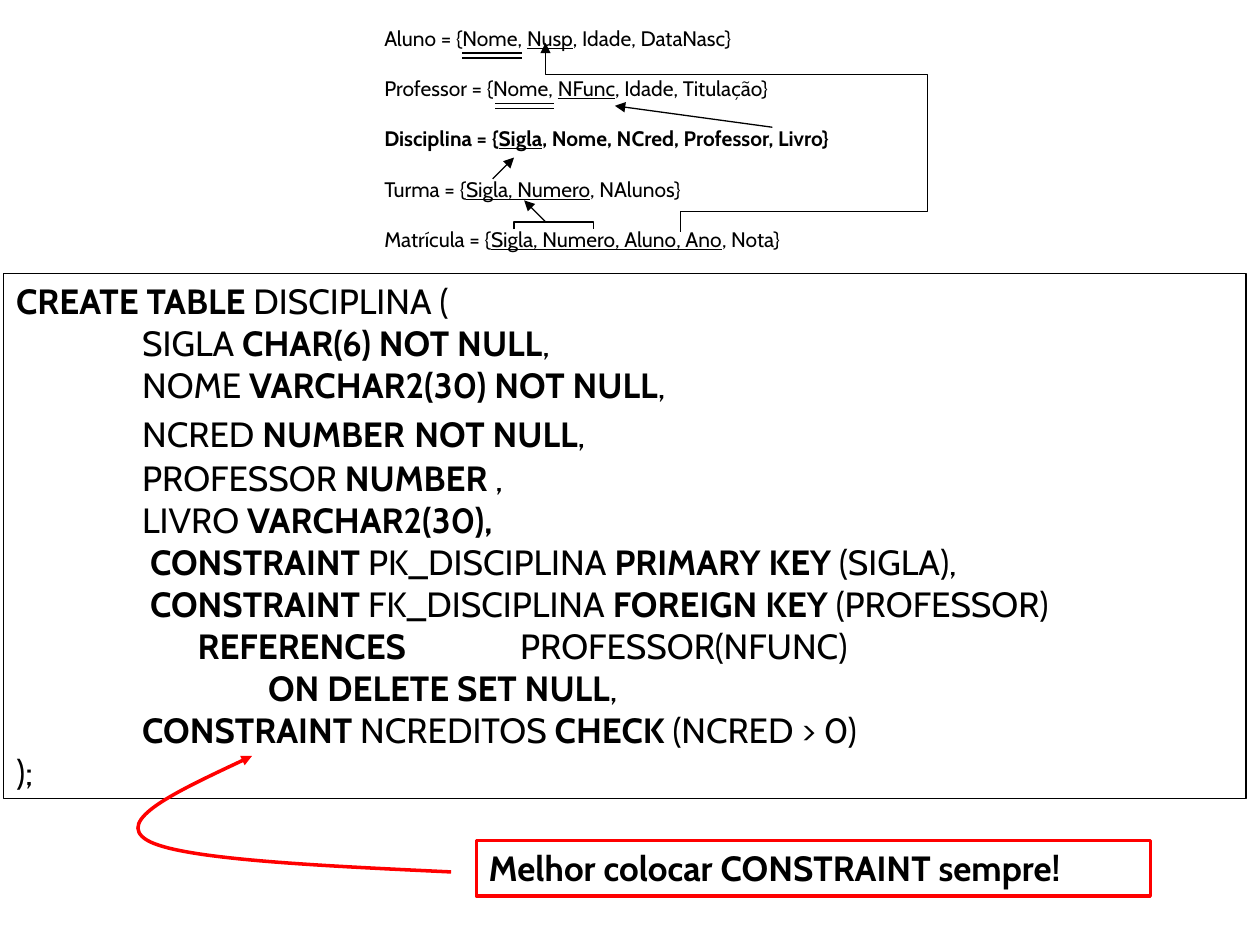
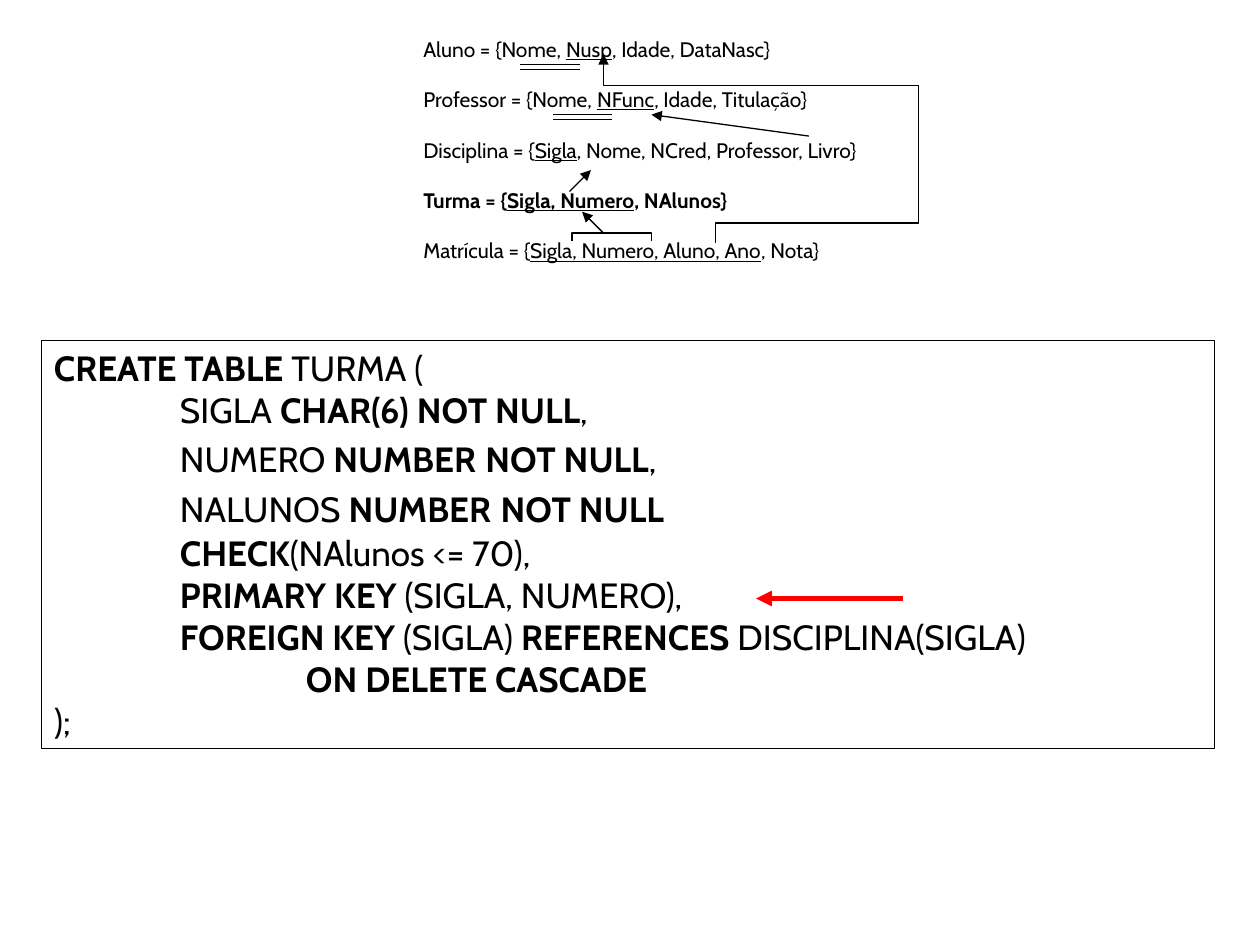
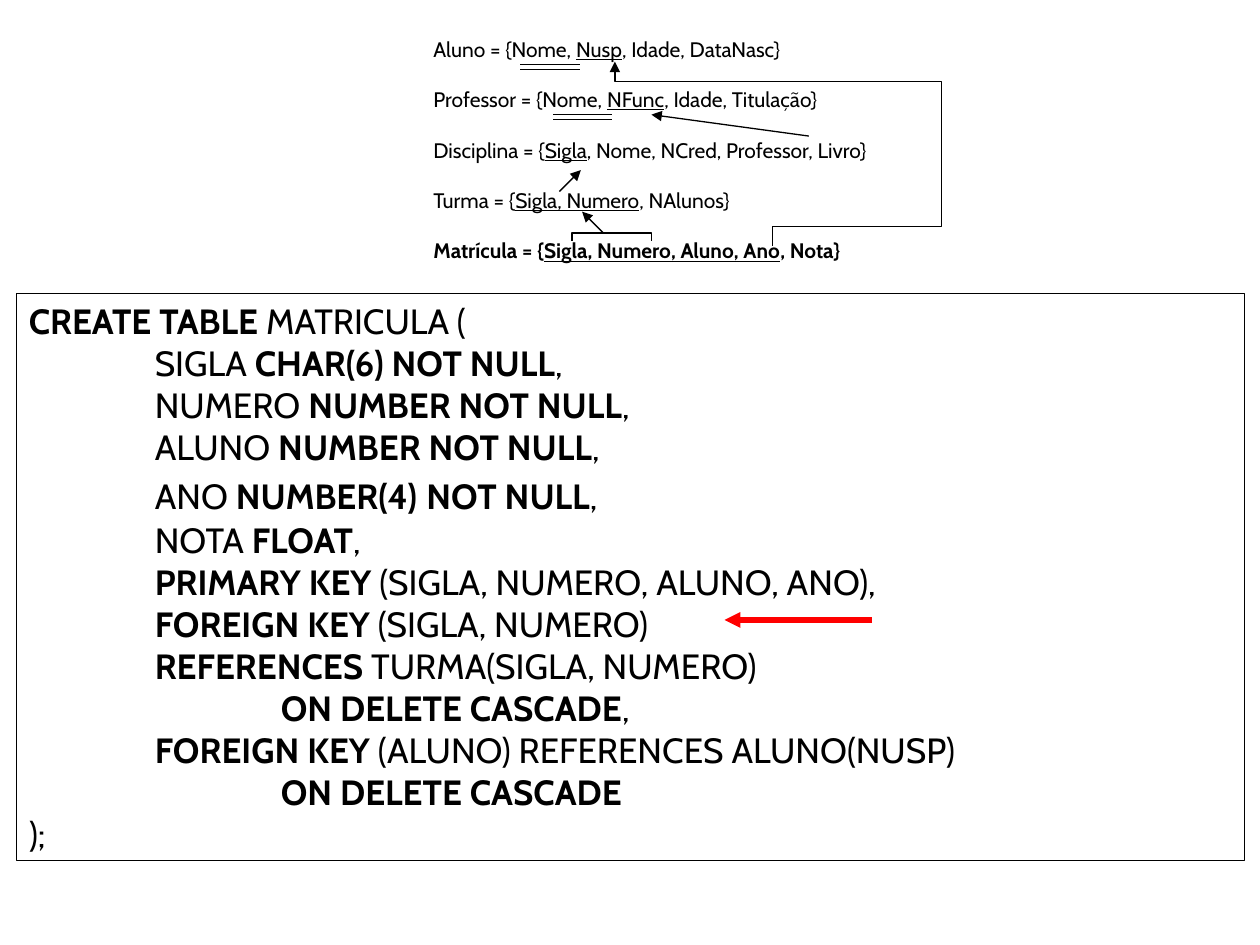
"""Builds three slides that pair a relational schema with its SQL table definitions."""
from dataclasses import dataclass
from typing import Optional

from lxml.etree import SubElement
from pptx import Presentation
from pptx.dml.color import RGBColor
from pptx.enum.shapes import MSO_CONNECTOR as Conn, MSO_SHAPE as Shape
from pptx.enum.text import MSO_ANCHOR as Anchor, PP_ALIGN as Align
from pptx.oxml.ns import qn
from pptx.util import Inches, Pt

Point = tuple[float, float]


@dataclass(frozen=True)
class Theme:
    font: str = "Cabin"
    ink: RGBColor = RGBColor(0, 0, 0)
    accent: RGBColor = RGBColor(255, 0, 0)
    schema_size: float = 12
    schema_gap: float = 14.4
    code_size: float = 20
    wide_space: float = 24
    thin: float = 0.75
    bracket: float = 1
    medium: float = 2
    thick: float = 3


@dataclass(frozen=True)
class Box:
    left: float
    top: float
    width: float
    height: float


@dataclass(frozen=True)
class SchemaView:
    box: Box
    bold_row: int
    marks: Point
    professor_key: Point
    turma_key: Point
    aluno_key: list[Point]


@dataclass(frozen=True)
class TableSlide:
    schema: SchemaView
    box: Box
    code: list[str]
    pointer: Optional[Point] = None
    note: str = ""


T = Theme()
POINTER_LENGTH = 1.17
NOTE_BOX = Box(3.78, 6.67, 5.35, 0.44)
NOTE_CURVE = [(3.58, 6.92), (2.51, 6.87), (1.43, 6.82), (1.17, 6.67),
              (0.9, 6.51), (1.45, 6.26), (2, 6)]

# Underscores toggle underlining in the schema; asterisks toggle bold in the code.
SCHEMA = [
    "Aluno = {Nome, _Nusp_, Idade, DataNasc}",
    "Professor = {Nome, _NFunc_, Idade, Titulação}",
    "Disciplina = {_Sigla_, Nome, NCred, Professor, Livro}",
    "Turma = {_Sigla, Numero_, NAlunos}",
    "Matrícula = {_Sigla, Numero, Aluno, Ano_, Nota}",
]

SLIDES = [
    TableSlide(
        SchemaView(Box(2.91, 0.15, 4.36, 1.9), 2, (3.67, 0.42), (6.13, 1.01), (3.91, 1.42),
                   [(5.4, 1.84), (5.4, 1.68), (7.36, 1.68), (7.36, 0.59), (4.33, 0.59), (4.33, 0.34)]),
        Box(0.03, 2.17, 9.86, 4.17),
        [
            "*CREATE TABLE* DISCIPLINA (",
            "\tSIGLA *CHAR(6) NOT NULL*,",
            "\tNOME *VARCHAR2(30) NOT NULL*,",
            "\tNCRED *NUMBER* *NOT NULL*,",
            "\tPROFESSOR *NUMBER* ,",
            "\tLIVRO *VARCHAR2(30),*",
            "\t *CONSTRAINT* PK_DISCIPLINA *PRIMARY KEY* (SIGLA),",
            "\t *CONSTRAINT* FK_DISCIPLINA *FOREIGN KEY* (PROFESSOR)",
            "                       *REFERENCES \t*PROFESSOR(NFUNC)",
            "\t\t*ON DELETE SET NULL*,",
            "\t*CONSTRAINT* NCREDITOS* CHECK* (NCRED > 0)",
            ");",
        ],
        note="*Melhor colocar CONSTRAINT sempre!*",
    ),
    TableSlide(
        SchemaView(Box(3.22, 0.24, 4.14, 1.9), 3, (4.13, 0.51), (6.42, 1.08), (4.52, 1.52),
                   [(5.68, 1.93), (5.68, 1.77), (7.29, 1.77), (7.29, 0.68), (4.79, 0.68), (4.79, 0.43)]),
        Box(0.33, 2.7, 9.31, 3.24),
        [
            "*CREATE TABLE* TURMA (",
            "\tSIGLA *CHAR(6) NOT NULL*,",
            "\tNUMERO *NUMBER* *NOT NULL*,",
            "\tNALUNOS *NUMBER* *NOT NULL*",
            "\t*CHECK*(NAlunos <= 70),",
            "\t*PRIMARY KEY* (SIGLA, NUMERO),",
            "\t*FOREIGN KEY* (SIGLA) *REFERENCES* DISCIPLINA(SIGLA)",
            "\t\t*ON DELETE CASCADE*",
            ");",
        ],
        pointer=(6, 4.75),
    ),
    TableSlide(
        SchemaView(Box(3.3, 0.24, 4.14, 1.9), 4, (4.13, 0.51), (6.42, 1.08), (4.44, 1.52),
                   [(6.13, 1.95), (6.13, 1.8), (7.47, 1.8), (7.47, 0.65), (4.88, 0.65), (4.88, 0.49)]),
        Box(0.13, 2.33, 9.75, 4.5),
        [
            "*CREATE TABLE* MATRICULA (",
            "\tSIGLA *CHAR(6) NOT NULL*,",
            "\tNUMERO *NUMBER NOT NULL*,",
            "\tALUNO *NUMBER NOT NULL*,",
            "\tANO *NUMBER(4)* *NOT NULL*,",
            "\tNOTA *FLOAT*,",
            "\t*PRIMARY KEY* (SIGLA, NUMERO, ALUNO, ANO),",
            "\t*FOREIGN KEY* (SIGLA, NUMERO)",
            "\t*REFERENCES* TURMA(SIGLA, NUMERO)",
            "\t\t*ON DELETE CASCADE*,",
            "\t*FOREIGN KEY* (ALUNO) REFERENCES ALUNO(NUSP)",
            "\t\t*ON DELETE CASCADE*",
            ");",
        ],
        pointer=(5.75, 4.92),
    ),
]


def place(box: Box) -> list[int]:
    return [Inches(v) for v in (box.left, box.top, box.width, box.height)]


def style_line(sp, width: float, color: RGBColor, arrow: bool) -> None:
    sp.line.color.rgb = color
    sp.line.width = Pt(width)
    if arrow:
        SubElement(next(sp.element.iter(qn("a:ln"))), qn("a:tailEnd"), type="triangle")
    SubElement(sp.element.spPr, qn("a:effectLst"))


def add_line(s, start: Point, end: Point, width: float = T.thin,
             color: RGBColor = T.ink, arrow: bool = False) -> None:
    sp = s.shapes.add_connector(Conn.STRAIGHT, *[Inches(v) for v in (*start, *end)])
    style_line(sp, width, color, arrow)


def add_outline(s, points: list[Point], width: float = T.thin,
                color: RGBColor = T.ink, arrow: bool = False):
    first, *rest = [(Inches(x), Inches(y)) for x, y in points]
    builder = s.shapes.build_freeform(*first)
    builder.add_line_segments(rest, close=False)
    sp = builder.convert_to_shape()
    sp.fill.background()
    style_line(sp, width, color, arrow)
    return sp


def add_curve(s, points: list[Point]) -> None:
    sp = add_outline(s, points, T.medium, T.accent, arrow=True)
    segments = list(sp.element.iter(qn("a:lnTo")))
    parent = segments[0].getparent()
    for i in range(0, len(segments), 3):
        curve = SubElement(parent, qn("a:cubicBezTo"))
        for segment in segments[i:i + 3]:
            curve.append(segment[0])
            parent.remove(segment)


def add_runs(p, text: str, mark: str, size: float):
    """Yield each run of the marked text with a flag telling whether it is marked."""
    for i, part in enumerate(text.split(mark)):
        if part:
            r = p.add_run()
            r.text = part
            r.font.name = T.font
            r.font.size = Pt(size)
            r.font.color.rgb = T.ink
            yield r, i % 2 == 1


def next_paragraph(tf, index: int):
    p = tf.add_paragraph() if index else tf.paragraphs[0]
    p.alignment = Align.LEFT
    return p


def add_code_box(s, box: Box, lines: list[str], width: float, color: RGBColor) -> None:
    sp = s.shapes.add_shape(Shape.RECTANGLE, *place(box))
    sp.fill.background()
    style_line(sp, width, color, arrow=False)
    tf = sp.text_frame
    tf.word_wrap = True
    tf.vertical_anchor = Anchor.TOP
    for i, line in enumerate(lines):
        p = next_paragraph(tf, i)
        tabs = SubElement(p._p.get_or_add_pPr(), qn("a:tabLst"))
        for stop in range(1, 8):
            SubElement(tabs, qn("a:tab"), pos=str(Inches(stop)), algn="l")
        for r, bold in add_runs(p, line, "*", T.code_size):
            r.font.bold = bold
            if r.text == " ":
                r.font.size = Pt(T.wide_space)


def add_schema(s, view: SchemaView) -> None:
    tf = s.shapes.add_textbox(*place(view.box)).text_frame
    tf.word_wrap = True
    tf.margin_left = Inches(0.14)
    for i, line in enumerate(SCHEMA):
        p = next_paragraph(tf, i)
        if i:
            p.space_before = Pt(T.schema_gap)
        for r, underlined in add_runs(p, line, "_", T.schema_size):
            r.font.underline = underlined
            r.font.bold = i == view.bold_row

    x, y = view.marks
    for left, top in ((x, y), (x + 0.26, y + 0.4)):
        for row in (top, top + 0.04):
            add_line(s, (left, row), (left + 0.47, row))
    left, right, top = x + 0.41, x + 1.04, y + 1.34
    add_outline(s, [(left, top + 0.06), (left, top), (right, top), (right, top + 0.06)], T.bracket)

    keys = [((x + 0.66, top), (-0.17, -0.17)),
            (view.turma_key, (0.17, -0.17)),
            (view.professor_key, (-1.25, -0.17))]
    for (x1, y1), (dx, dy) in keys:
        add_line(s, (x1, y1), (x1 + dx, y1 + dy), arrow=True)
    add_outline(s, view.aluno_key, arrow=True)


def main() -> None:
    prs = Presentation()
    prs.slide_width, prs.slide_height = Inches(10), Inches(7.5)
    for slide in SLIDES:
        s = prs.slides.add_slide(prs.slide_layouts[6])
        add_schema(s, slide.schema)
        add_code_box(s, slide.box, slide.code, T.thin, T.ink)
        if slide.pointer:
            x, y = slide.pointer
            add_line(s, (x + POINTER_LENGTH, y), (x, y), T.thick, T.accent, arrow=True)
        if slide.note:
            add_code_box(s, NOTE_BOX, [slide.note], T.medium, T.accent)
            add_curve(s, NOTE_CURVE)
    prs.save("out.pptx")


if __name__ == "__main__":
    main()
